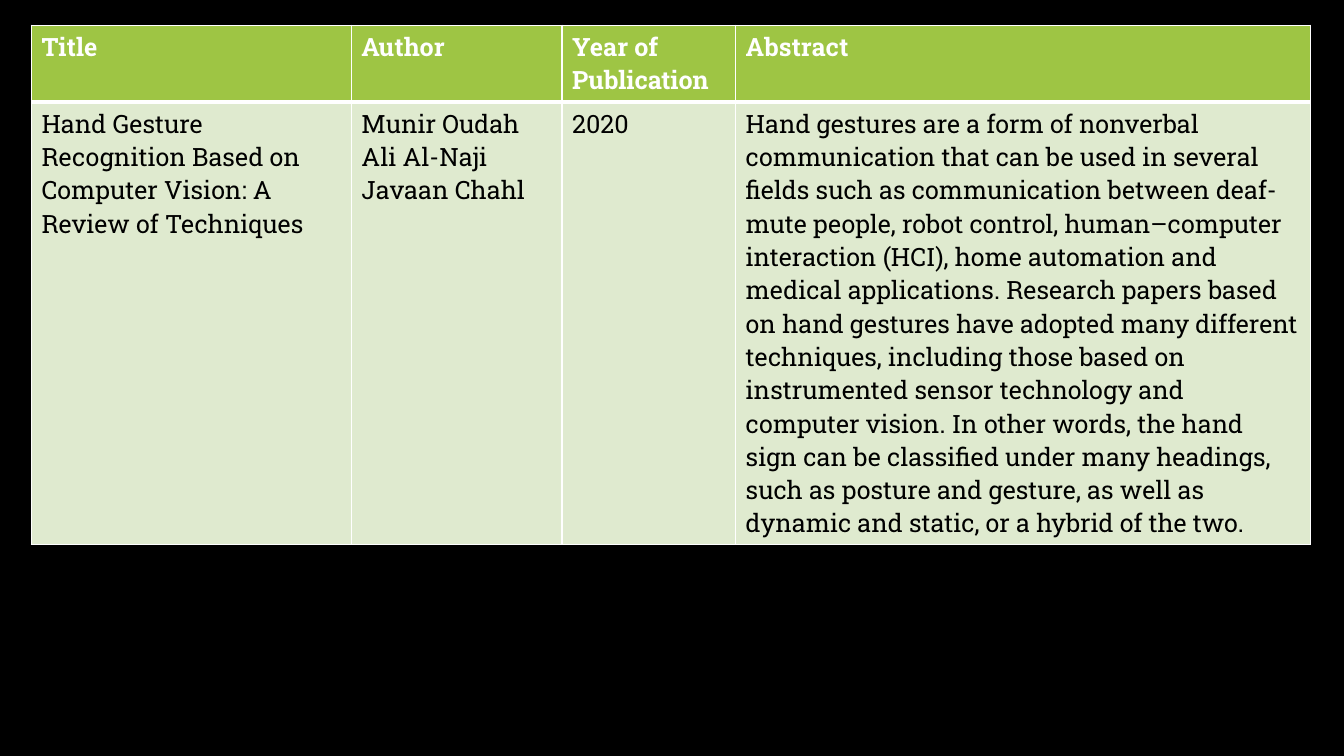
from dataclasses import dataclass

from lxml.etree import SubElement
from pptx import Presentation
from pptx.dml.color import RGBColor
from pptx.oxml.ns import qn
from pptx.util import Pt


@dataclass(frozen=True)
class Theme:
    background: str = "000000"
    header_fill: str = "9EC544"
    header_text: str = "FFFFFF"
    body_fill: str = "DFEACF"
    body_text: str = "000000"
    rule: str = "FFFFFF"
    font: str = "Roboto Slab"
    text_size: float = 18
    thin_rule: float = 1
    header_rule: float = 3


THEME = Theme()
COLUMN_WIDTHS = (228.5, 150.5, 124, 410.5)
ROW_HEIGHTS = (48, 51)
HEADINGS = ("Title", "Author", "Year of Publication", "Abstract")
PAPER = (
    "Hand Gesture Recognition Based on Computer Vision: A Review of Techniques",
    "Munir Oudah\nAli Al-Naji\nJavaan Chahl",
    "2020",
    "Hand gestures are a form of nonverbal communication that can be used in "
    "several fields such as communication between deaf-mute people, robot "
    "control, human–computer interaction (HCI), home automation and medical "
    "applications. Research papers based on hand gestures have adopted many "
    "different techniques, including those based on instrumented sensor "
    "technology and computer vision. In other words, the hand sign can be "
    "classified under many headings, such as posture and gesture, as well as "
    "dynamic and static, or a hybrid of the two.",
)


def set_background(slide, colour):
    fill = slide.background.fill
    fill.solid()
    fill.fore_color.rgb = RGBColor.from_string(colour)


def set_borders(cell, widths):
    """Draw the cell's rules; widths gives left, right, top, bottom in points."""
    properties = cell._tc.get_or_add_tcPr()
    for position, (side, width) in enumerate(zip("LRTB", widths)):
        rule = SubElement(properties, qn(f"a:ln{side}"), w=str(Pt(width)))
        solid = SubElement(rule, qn("a:solidFill"))
        SubElement(solid, qn("a:srgbClr"), val=THEME.rule)
        properties.insert(position, rule)


def write_cell(cell, text, text_colour, bold):
    cell.text = text
    font_format = {"name": THEME.font, "size": Pt(THEME.text_size), "bold": bold}
    for paragraph in cell.text_frame.paragraphs:
        for run in paragraph.runs:
            for attribute, value in font_format.items():
                setattr(run.font, attribute, value)
            run.font.color.rgb = RGBColor.from_string(text_colour)


def fill_row(table, row, texts, fill, text_colour, bold, borders):
    for column, text in enumerate(texts):
        cell = table.cell(row, column)
        write_cell(cell, text, text_colour, bold)
        cell.fill.solid()
        cell.fill.fore_color.rgb = RGBColor.from_string(fill)
        set_borders(cell, borders)


def add_literature_table(slide):
    frame = slide.shapes.add_table(
        len(ROW_HEIGHTS), len(COLUMN_WIDTHS),
        Pt(22.5), Pt(18), Pt(sum(COLUMN_WIDTHS)), Pt(sum(ROW_HEIGHTS)),
    )
    table = frame.table
    for column, width in zip(table.columns, COLUMN_WIDTHS):
        column.width = Pt(width)
    for row, height in zip(table.rows, ROW_HEIGHTS):
        row.height = Pt(height)
    frame.height = Pt(338.5)

    thin, thick = THEME.thin_rule, THEME.header_rule
    fill_row(table, 0, HEADINGS, THEME.header_fill, THEME.header_text,
             True, (thin, thin, thin, thick))
    fill_row(table, 1, PAPER, THEME.body_fill, THEME.body_text,
             False, (thin, thin, thick, thin))


def main():
    presentation = Presentation()
    presentation.slide_width = Pt(960)
    presentation.slide_height = Pt(540)
    slide = presentation.slides.add_slide(presentation.slide_layouts[6])
    set_background(slide, THEME.background)
    add_literature_table(slide)
    presentation.save("out.pptx")


if __name__ == "__main__":
    main()
